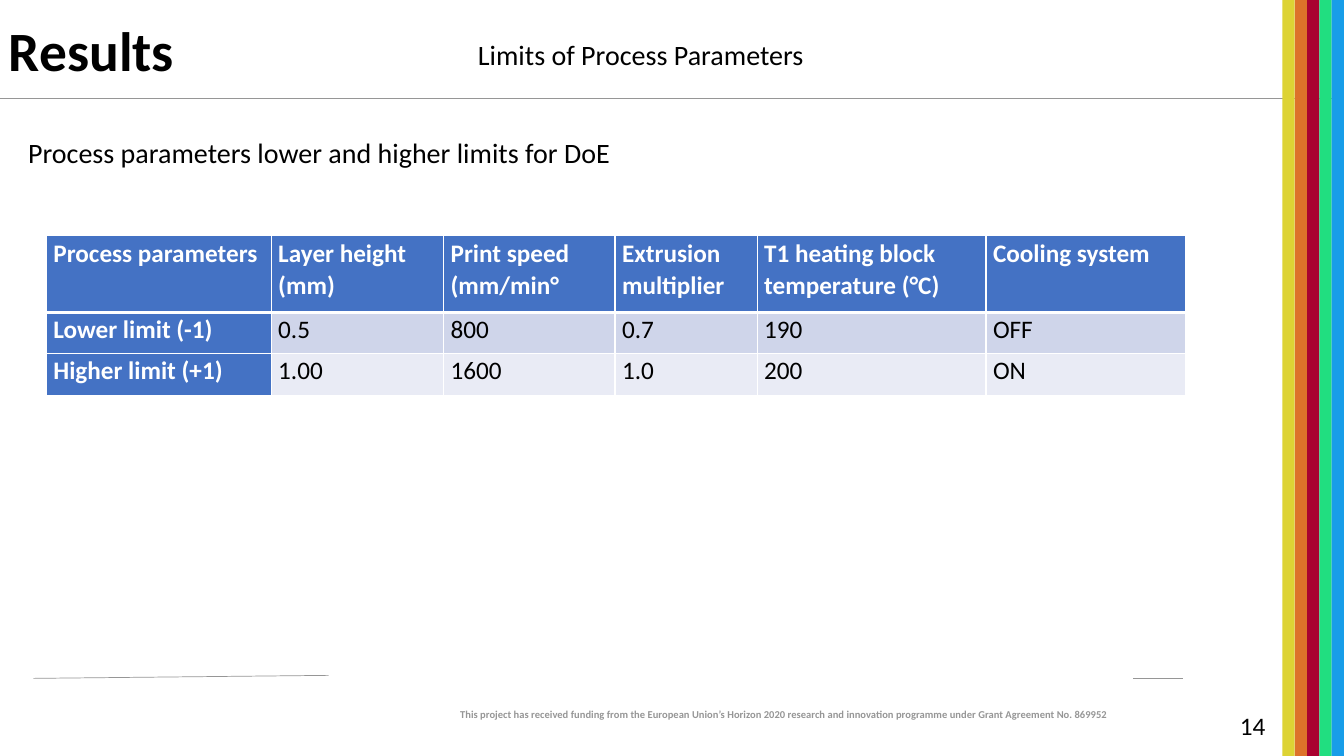
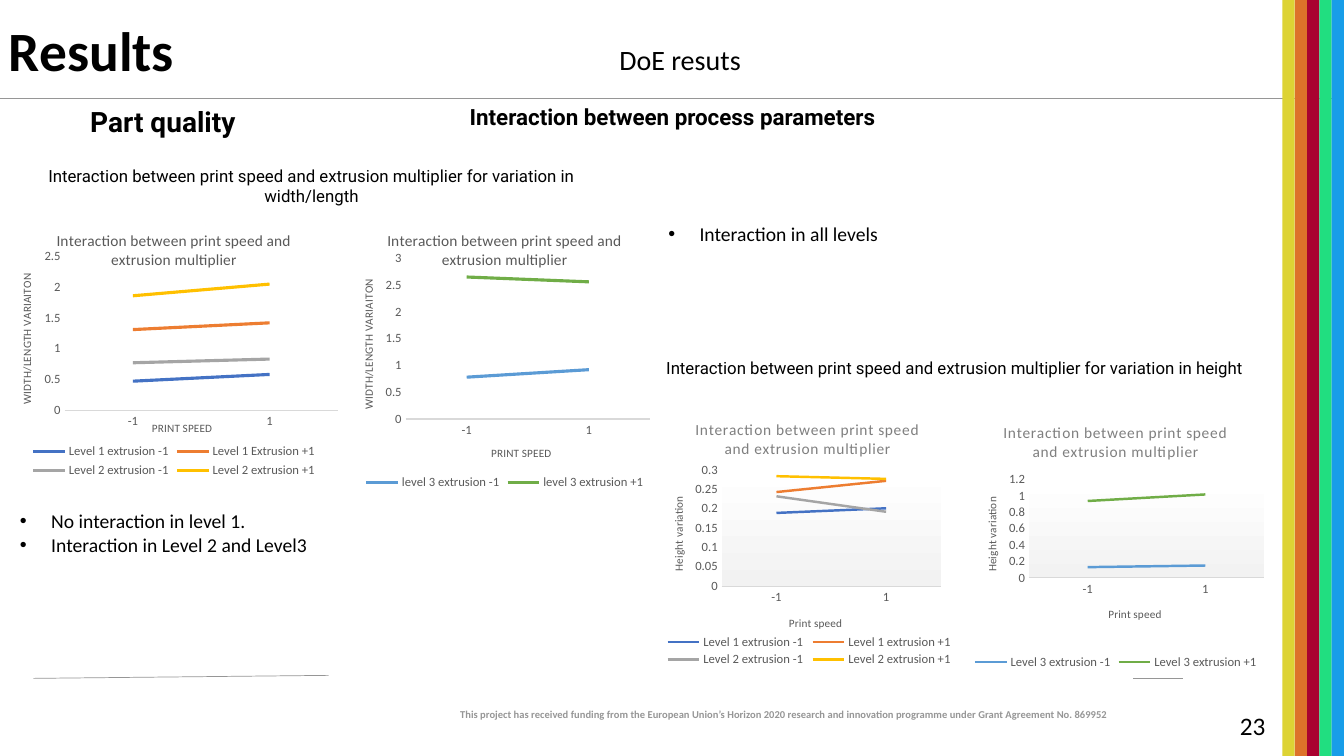
"""Build two results slides: a table of process limits and four interaction charts."""
from lxml import etree
from pptx import Presentation
from pptx.chart.data import CategoryChartData
from pptx.dml.color import RGBColor
from pptx.enum.chart import XL_CHART_TYPE, XL_LEGEND_POSITION, XL_TICK_MARK
from pptx.enum.shapes import MSO_CONNECTOR, MSO_SHAPE
from pptx.enum.text import MSO_ANCHOR, PP_ALIGN
from pptx.oxml import parse_xml
from pptx.oxml.ns import nsdecls, qn
from pptx.util import Inches, Pt

CENTER, RIGHT = PP_ALIGN.CENTER, PP_ALIGN.RIGHT
TOP, MIDDLE = MSO_ANCHOR.TOP, MSO_ANCHOR.MIDDLE
RECT, STRAIGHT = MSO_SHAPE.RECTANGLE, MSO_CONNECTOR.STRAIGHT
LINE, BOTTOM = XL_CHART_TYPE.LINE, XL_LEGEND_POSITION.BOTTOM
NO_TICK = XL_TICK_MARK.NONE

THEME = {
    "body": "Calibri", "accent": "Roboto",
    "black": "000000", "white": "FFFFFF", "rule": "969696",
    "chart_text": "595959", "chart_title": "7F7F7F", "axis": "D9D9D9", "plot_end": "F2F2F2",
    "bands": ["DDD334", "DD722A", "A90230", "21DE80", "189DE8"],
    "header": "4472C4", "rows": ["CFD5EA", "E9EBF5"],
    "series": ["4472C4", "ED7D31", "A5A5A5", "FFC000"], "level3": ["5B9BD5", "70AD47"],
    "title": 39.6, "heading": 20, "subheading": 16, "table": 18, "number": 18,
    "bullet": 14, "caption": 12, "footer": 7.5,
    "chart": 10, "chart_heading": 11, "tick": 9, "axis_title": 8,
}


def write(tf, text, size, font=THEME["body"], color=THEME["black"], bold=False, align=None,
          bullet=False, line_spacing=None, space_after=None, tracking=None):
    for i, line in enumerate(text.split("\n")):
        p = tf.paragraphs[0] if i == 0 else tf.add_paragraph()
        if align is not None:
            p.alignment = align
        if line_spacing:
            p.line_spacing = line_spacing
        if space_after:
            p.space_after = Pt(space_after)
        if bullet:
            pPr = p._p.get_or_add_pPr()
            pPr.set("marL", str(Inches(0.31)))
            pPr.set("indent", str(-Inches(0.31)))
            etree.SubElement(pPr, qn("a:buFont"), typeface="Arial")
            etree.SubElement(pPr, qn("a:buChar"), char="•")
        r = p.add_run()
        r.text = line
        r.font.size, r.font.name, r.font.bold = Pt(size), font, bold
        r.font.color.rgb = RGBColor.from_string(color)
        if tracking:
            r._r.get_or_add_rPr().set("spc", str(tracking))


def place(parent, index, **values):
    for old in parent.findall(qn("c:layout")):
        parent.remove(old)
    layout = etree.Element(qn("c:layout"))
    manual = etree.SubElement(layout, qn("c:manualLayout"))
    for tag, value in values.items():
        etree.SubElement(manual, qn("c:" + tag), val=str(value))
    parent.insert(index, layout)


prs = Presentation()
prs.slide_width, prs.slide_height = Inches(13.33), Inches(7.5)

FOOTER = ("This project has received funding from the European Union’s Horizon 2020 research "
          "and innovation programme under Grant Agreement No. 869952")
RULES = [(0.33, 6.73, 3.26, 6.7), (0, 0.98, 13.33, 0.98), (11.24, 6.73, 11.73, 6.73)]
BANDS_LEFT = 12.72
band_width = (13.33 - BANDS_LEFT) / len(THEME["bands"])
WIDE, TIGHT = (0.1, 0.05), (0.08, 0.04)
heading = {"size": THEME["heading"]}
caption = {"size": THEME["caption"], "font": THEME["accent"], "align": CENTER}
bullets = {"size": THEME["bullet"], "bullet": True}
INTERACTION = "Interaction between print speed and extrusion multiplier"

pages = [
    ("14", [
        ((4.45, 0.32, 3.81, 0.44), WIDE, "Limits of Process Parameters",
         {**heading, "align": CENTER}),
        ((0.18, 1.3, 6.32, 0.44), WIDE, "Process parameters lower and higher limits for DoE",
         heading),
    ]),
    ("23", [
        ((5.99, 0.37, 1.51, 0.44), WIDE, "DoE resuts", {**heading, "align": CENTER}),
        ((-0.08, 1, 3.39, 0.42), TIGHT, "Part quality",
         {**caption, "size": THEME["heading"], "bold": True}),
        ((4.3, 0.98, 4.74, 0.35), TIGHT, "Interaction between process parameters",
         {**caption, "size": THEME["subheading"], "bold": True}),
        ((0.1, 1.6, 5.98, 0.49), TIGHT, INTERACTION + " for variation in width/length", caption),
        ((6.48, 3.51, 5.98, 0.49), TIGHT, INTERACTION + " for variation in height", caption),
        ((0.1, 5, 6.3, 0.57), WIDE,
         "No interaction in level 1.\nInteraction in Level 2 and Level3", bullets),
        ((6.53, 2.15, 6.3, 0.34), WIDE, "Interaction in all levels", bullets),
    ]),
]

for number, texts in pages:
    s = prs.slides.add_slide(prs.slide_layouts[6])
    for x1, y1, x2, y2 in RULES:
        rule = s.shapes.add_connector(STRAIGHT, Inches(x1), Inches(y1), Inches(x2), Inches(y2))
        rule.line.color.rgb = RGBColor.from_string(THEME["rule"])
        rule.line.width = Pt(0.5)
        etree.SubElement(rule._element.spPr, qn("a:effectLst"))
    for i, color in enumerate(THEME["bands"]):
        band = s.shapes.add_shape(RECT, Inches(BANDS_LEFT + i * band_width), 0,
                                  Inches(band_width), prs.slide_height)
        band.shadow.inherit = False
        band.fill.solid()
        band.fill.fore_color.rgb = RGBColor.from_string(color)
        band.line.fill.background()
    shared = [
        ((-0.01, 0.16, 9.59, 0.75), WIDE, "Results",
         {"size": THEME["title"], "bold": True, "line_spacing": 0.9}),
        ((3.88, 6.97, 7.2, 0.35), WIDE, FOOTER,
         {"size": THEME["footer"], "color": THEME["rule"], "bold": True, "align": RIGHT}),
        ((12.2, 7, 0.63, 0.4), WIDE, number, {"size": THEME["number"]}),
    ]
    for box, inset, text, style in shared + texts:
        sp = s.shapes.add_textbox(*map(Inches, box))
        tf = sp.text_frame
        tf.word_wrap = True
        tf.vertical_anchor = MIDDLE if text == "Results" else TOP
        tf.margin_left = tf.margin_right = Inches(inset[0])
        tf.margin_top = tf.margin_bottom = Inches(inset[1])
        write(tf, text, **style)

limits_slide, charts_slide = prs.slides

LIMITS = [
    ["Process parameters", "Layer height (mm)", "Print speed (mm/min°", "Extrusion multiplier",
     "T1 heating block temperature (°C)", "Cooling system"],
    ["Lower limit (-1)", "0.5", "800", "0.7", "190", "OFF"],
    ["Higher limit (+1)", "1.00", "1600", "1.0", "200", "ON"],
]
table = limits_slide.shapes.add_table(3, 6, Inches(0.46), Inches(2.34),
                                      Inches(11.3), Inches(1.58)).table
for column, width in zip(table.columns, [2.23, 1.71, 1.7, 1.41, 2.27, 1.98]):
    column.width = Inches(width)
for row, height in zip(table.rows, [0.76, 0.41, 0.41]):
    row.height = Inches(height)
for i, values in enumerate(LIMITS):
    for j, value in enumerate(values):
        cell = table.cell(i, j)
        is_header = i == 0 or j == 0
        cell.margin_left = cell.margin_right = Inches(0.07)
        cell.margin_top = cell.margin_bottom = 0
        write(cell.text_frame, value, THEME["table"], bold=is_header, line_spacing=1.07,
              space_after=8, color=THEME["white"] if is_header else THEME["black"])
        tcPr = cell._tc.get_or_add_tcPr()
        for side in "LRTB":
            thick = (i, side) in [(0, "B"), (1, "T")]
            border = etree.SubElement(tcPr, qn("a:ln" + side), w=str(Pt(3 if thick else 1)))
            fill = etree.SubElement(border, qn("a:solidFill"))
            etree.SubElement(fill, qn("a:srgbClr"), val=THEME["white"])
        cell.fill.solid()
        cell.fill.fore_color.rgb = RGBColor.from_string(
            THEME["header"] if is_header else THEME["rows"][i - 1])

WIDTH_AXES = ("PRINT SPEED", "WIDTH/LENGTH VARIAITON")
HEIGHT_AXES = ("Print speed", "Height variation")
CHARTS = [
    {"box": (0.03, 2.15, 3.39, 2.63), "axes": WIDTH_AXES, "scale": (2.5, 0.5),
     "plot": (0.18, 0.15, 0.8, 0.58), "speed_at": (0.43, 0.76), "colors": THEME["series"],
     "series": {"Level 1 extrusion -1": (0.47, 0.58), "Level 1 Extrusion +1": (1.31, 1.42),
                "Level 2 extrusion -1": (0.77, 0.83), "Level 2 extrusion +1": (1.86, 2.05)}},
    {"box": (3.47, 2.15, 3.07, 2.75), "axes": WIDTH_AXES, "scale": (3, 0.5),
     "plot": (0.18, 0.15, 0.79, 0.58), "speed_at": (0.45, 0.82), "colors": THEME["level3"],
     "series": {"level 3 extrusion -1": (0.78, 0.92), "level 3 extrusion +1": (2.65, 2.56)}},
    {"box": (6.54, 4.02, 2.94, 2.68), "axes": HEIGHT_AXES, "scale": (0.3, 0.05),
     "plot": (0.21, 0.24, 0.74, 0.43), "speed_at": (0.43, 0.77), "colors": THEME["series"],
     "legend": (0.01, 0.84, 0.99, 0.14),
     "series": {"Level 1 extrusion -1": (0.189, 0.201), "Level 1 extrusion +1": (0.243, 0.272),
                "Level 2 extrusion -1": (0.232, 0.192), "Level 2 extrusion +1": (0.284, 0.277)}},
    {"box": (9.53, 4.05, 3.07, 2.63), "axes": HEIGHT_AXES, "scale": (1.2, 0.2),
     "plot": (0.22, 0.27, 0.76, 0.37), "speed_at": (0.47, 0.74), "colors": THEME["level3"],
     "series": {"Level 3 extrusion -1": (0.13, 0.15), "Level 3 extrusion +1": (0.94, 1.02)}},
]
SHADED_PLOT = (
    f'<c:spPr {nsdecls("c", "a")}><a:gradFill><a:gsLst>'
    f'<a:gs pos="0"><a:srgbClr val="{THEME["white"]}"/></a:gs>'
    f'<a:gs pos="100000"><a:srgbClr val="{THEME["plot_end"]}"/></a:gs>'
    '</a:gsLst><a:lin ang="5400000" scaled="0"/></a:gradFill></c:spPr>')
WHITE_CHART = (
    f'<c:spPr {nsdecls("c", "a")}><a:solidFill><a:srgbClr val="{THEME["white"]}"/>'
    '</a:solidFill><a:ln><a:noFill/></a:ln></c:spPr>')

for item in CHARTS:
    shaded = item["axes"] == HEIGHT_AXES
    data = CategoryChartData()
    data.categories = ["-1", "1"]
    for name, values in item["series"].items():
        data.add_series(name, values)
    chart = charts_slide.shapes.add_chart(LINE, *map(Inches, item["box"]), data).chart
    chart.font.name, chart.font.size = THEME["body"], Pt(THEME["chart"])
    chart.font.color.rgb = RGBColor.from_string(THEME["black"])
    chart.has_title = True
    write(chart.chart_title.text_frame, INTERACTION, THEME["chart_heading"],
          tracking=40 if shaded else None,
          color=THEME["chart_title"] if shaded else THEME["chart_text"])
    chart.has_legend = True
    chart.legend.position = BOTTOM
    chart.legend.include_in_layout = False

    for axis, title in zip((chart.category_axis, chart.value_axis), item["axes"]):
        axis.has_major_gridlines = False
        axis.major_tick_mark = axis.minor_tick_mark = NO_TICK
        axis.has_title = True
        write(axis.axis_title.text_frame, title, THEME["axis_title"], color=THEME["chart_text"])
    for labels in (chart.category_axis.tick_labels, chart.value_axis.tick_labels, chart.legend):
        labels.font.size, labels.font.name = Pt(THEME["tick"]), THEME["body"]
        labels.font.color.rgb = RGBColor.from_string(THEME["chart_text"])
    chart.category_axis.format.line.color.rgb = RGBColor.from_string(THEME["axis"])
    chart.category_axis.format.line.width = Pt(0.75)
    value_axis = chart.value_axis
    value_axis.format.line.fill.background()
    value_axis.minimum_scale = 0
    value_axis.maximum_scale, value_axis.major_unit = item["scale"]
    value_axis.tick_labels.number_format = "General"
    value_axis.tick_labels.number_format_is_linked = False
    value_axis.axis_title.element.find(".//" + qn("a:bodyPr")).set("rot", "-5400000")

    plot = chart.plots[0]
    plot.vary_by_categories = False
    for series, color in zip(plot.series, item["colors"]):
        series.smooth = False
        series.format.line.color.rgb = RGBColor.from_string(color)
        series.format.line.width = Pt(1.75 if shaded else 2.25)

    x, y = item["speed_at"]
    place(chart.category_axis.axis_title.element, 1, xMode="edge", yMode="edge", x=x, y=y)
    x, y, w, h = item["plot"]
    plot_area = chart.element.find(".//" + qn("c:plotArea"))
    place(plot_area, 0, layoutTarget="inner", xMode="edge", yMode="edge", x=x, y=y, w=w, h=h)
    if "legend" in item:
        x, y, w, h = item["legend"]
        legend = chart.element.find(".//" + qn("c:legend"))
        place(legend, 1, xMode="edge", yMode="edge", x=x, y=y, w=w, h=h)
    if shaded:
        plot_area.append(parse_xml(SHADED_PLOT))
        chart.element.find(qn("c:chart")).addnext(parse_xml(WHITE_CHART))

prs.save("out.pptx")
